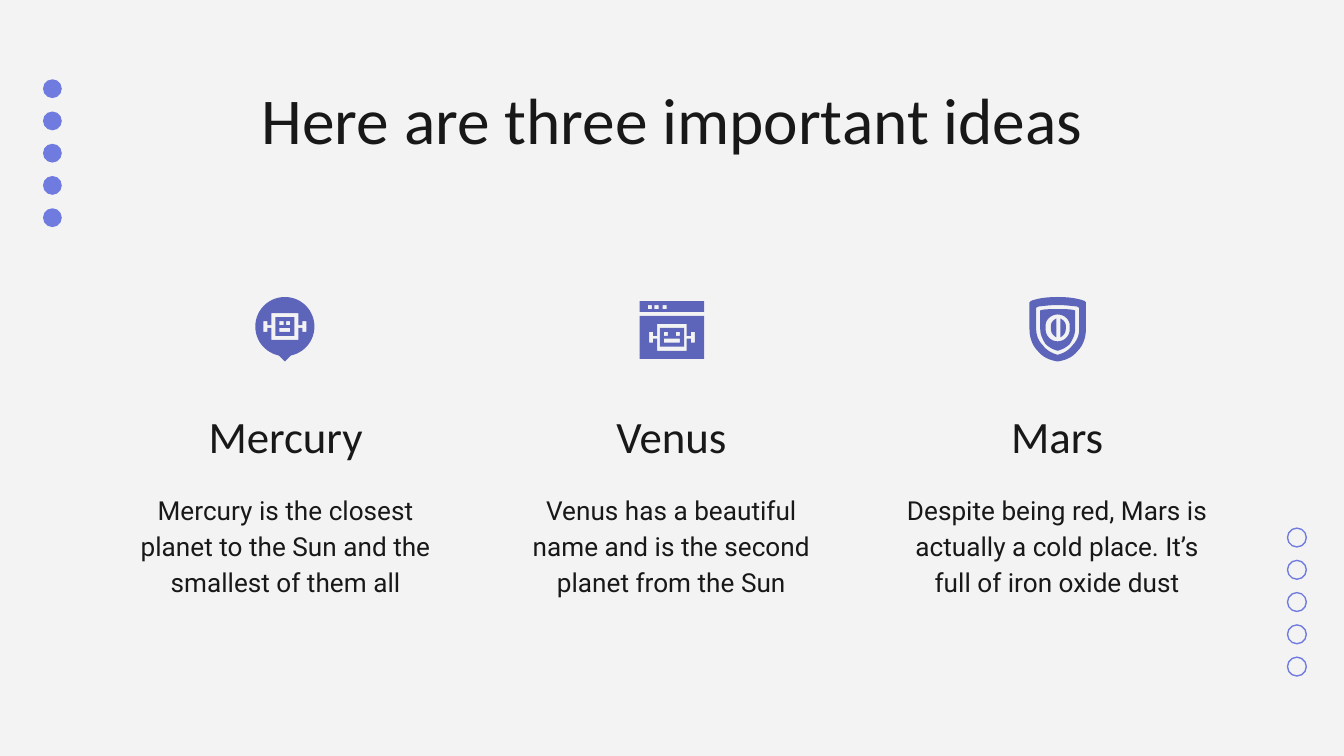
import math
from dataclasses import dataclass

import pptx
import pptx.dml.color
import pptx.enum.shapes
import pptx.enum.text
import pptx.util

SCALE = 9144  # EMU per px, 100 px to the inch

Point = tuple[float, float]
Loop = list[Point]


@dataclass(frozen=True)
class Theme:
    back: str = "F3F3F3"
    ink: str = "181818"
    dot: str = "707BE0"
    icon: str = "5D65BB"
    head_font: str = "Calibri"
    body_font: str = "Roboto"
    title: int = 35
    head: int = 24
    body: int = 14


@dataclass(frozen=True)
class Idea:
    left: int
    name: str
    text: str


@dataclass(frozen=True)
class Robot:
    x: int
    y: int
    head: int  # half width of the head
    face: int  # half width of the face


THEME = Theme()
IDEAS = [
    Idea(90, "Mercury", "Mercury is the closest planet to the Sun and the smallest of them all"),
    Idea(377, "Venus", "Venus has a beautiful name and is the second planet from the Sun"),
    Idea(664, "Mars", "Despite being red, Mars is actually a cold place. It’s full of iron oxide dust"),
]


def px(num: float) -> int:
    return pptx.util.Emu(round(num * SCALE))


def tint(code: str) -> pptx.dml.color.RGBColor:
    return pptx.dml.color.RGBColor.from_string(code)


# Text
def write(shape, text: str, font: str, size: int, space: float = 1.0, low: bool = False) -> None:
    anchor = pptx.enum.text.MSO_ANCHOR
    frame = shape.text_frame
    frame.text = text
    frame.word_wrap = True
    frame.auto_size = pptx.enum.text.MSO_AUTO_SIZE.NONE
    frame.vertical_anchor = anchor.BOTTOM if low else anchor.TOP
    frame.margin_left = frame.margin_right = px(10)
    frame.margin_top = frame.margin_bottom = px(10)
    para = frame.paragraphs[0]
    para.alignment = pptx.enum.text.PP_ALIGN.CENTER
    para.line_spacing = space
    face = para.runs[0].font
    face.name, face.size = font, pptx.util.Pt(size)
    face.color.rgb = tint(THEME.ink)


def add_idea(slide, idea: Idea) -> None:
    boxes = slide.shapes
    head = boxes.add_textbox(px(idea.left), px(282), px(245), px(72))
    write(head, idea.name, THEME.head_font, THEME.head, 1.15, low=True)
    body = boxes.add_textbox(px(idea.left), px(354), px(245), px(111))
    write(body, idea.text, THEME.body_font, THEME.body, 1.15)


# Dots
def add_dots(slide, left: int, top: int, solid: bool) -> None:
    for row in range(5):
        dot = slide.shapes.add_shape(
            pptx.enum.shapes.MSO_SHAPE.OVAL, px(left), px(top + 24 * row), px(14), px(14))
        dot.shadow.inherit = False
        if solid:
            dot.fill.solid()
            dot.fill.fore_color.rgb = tint(THEME.dot)
            dot.line.fill.background()
        else:
            dot.fill.background()
            dot.line.color.rgb = tint(THEME.dot)
            dot.line.width = pptx.util.Pt(0.75)


# Outlines: inner loops cut holes in the first one
def add_form(slide, *loops: Loop) -> None:
    build = None
    for loop in loops:
        pts = [(px(x), px(y)) for x, y in loop]
        if build is None:
            build = slide.shapes.build_freeform(*pts[0], scale=1.0)
        else:
            build.move_to(*pts[0])
        build.add_line_segments(pts[1:], close=True)
    form = build.convert_to_shape()
    form.shadow.inherit = False
    form.fill.solid()
    form.fill.fore_color.rgb = tint(THEME.icon)
    form.line.fill.background()


def rect(left: int, top: int, right: int, base: int) -> Loop:
    return [(left, top), (right, top), (right, base), (left, base)]


def trace(*parts: tuple[int, ...]) -> Loop:
    """Follow points (x, y) and cubic curves (six numbers)."""
    loop: Loop = []
    for part in parts:
        if len(part) == 2:
            loop.append(part)
            continue
        ctrl = [loop[-1], part[:2], part[2:4], part[4:]]
        for step in range(1, 9):
            t = step / 8
            mix = [(1 - t) ** 3, 3 * t * (1 - t) ** 2, 3 * t * t * (1 - t), t ** 3]
            loop.append(tuple(sum(m * c[axis] for m, c in zip(mix, ctrl)) for axis in (0, 1)))
    return loop


def flip(loop: Loop, total: int) -> Loop:
    return [(total - x, y) for x, y in reversed(loop)]


# Icons
def shell(bot: Robot) -> Loop:
    """Head with an arm on each side."""
    w = bot.head
    half = [(w, -10), (w, -1), (w + 3, -1), (w + 3, -4), (w + 6, -4),
            (w + 6, 4), (w + 3, 4), (w + 3, 1), (w, 1), (w, 10)]
    return [(bot.x + x, bot.y + y) for x, y in half + flip(half, 0)]


def add_face(slide, bot: Robot) -> None:
    far, near = bot.face - 3, bot.face - 6
    areas = [(-bot.face, -7, bot.face, 7), (-far, -4, -near, -1),
             (near, -4, far, -1), (-far, 1, far, 4)]
    add_form(slide, *[rect(bot.x + a, bot.y + b, bot.x + c, bot.y + d) for a, b, c, d in areas])


def add_bubble(slide) -> None:
    bot = Robot(212, 243, 10, 7)
    turns = [math.radians(deg) for deg in range(102, 439, 6)]
    ring = [(bot.x + 22 * math.cos(a), bot.y + 22 * math.sin(a)) for a in turns]
    add_form(slide, ring + [(bot.x, 269)], shell(bot))
    add_face(slide, bot)


def add_window(slide) -> None:
    bot = Robot(500, 251, 11, 9)
    add_form(slide, rect(476, 224, 524, 232), *[rect(x, 227, x + 3, 230) for x in (482, 487, 493)])
    add_form(slide, rect(476, 235, 524, 267), shell(bot))
    add_face(slide, bot)


def add_shield(slide) -> None:
    rim = trace((787, 221), (801, 221, 807, 224, 807, 224), (808, 225), (808, 245),
                (808, 251, 806, 257, 802, 261), (798, 266, 793, 268, 787, 269))
    gap = trace((787, 227), (794, 227, 799, 228, 801, 228), (803, 229), (803, 245),
                (803, 250, 801, 254, 798, 257), (795, 261, 791, 263, 787, 264))
    core = trace((787, 230), (793, 230, 797, 230, 800, 231), (800, 245),
                 (800, 249, 798, 253, 796, 256), (794, 258, 791, 260, 787, 261))
    hole = trace((787, 234), (792, 234, 796, 238, 796, 242), (796, 245),
                 (796, 250, 792, 254, 787, 254))
    for pair in ((rim, gap), (core, hole)):
        add_form(slide, *[half + flip(half, 1574) for half in pair])
    disc = trace((789, 237), (789, 251), (791, 250, 793, 248, 793, 245),
                 (793, 242), (793, 240, 791, 238, 789, 237))
    add_form(slide, disc)
    add_form(slide, flip(disc, 1575))


def main() -> None:
    deck = pptx.Presentation()
    deck.slide_width = px(1000)
    deck.slide_height = deck.slide_width * 9 // 16
    slide = deck.slides.add_slide(deck.slide_layouts[5])
    slide.background.fill.solid()
    slide.background.fill.fore_color.rgb = tint(THEME.back)

    add_dots(slide, 958, 393, solid=False)
    add_dots(slide, 32, 59, solid=True)

    title = slide.shapes.title
    title.left, title.top, title.width, title.height = px(79), px(49), px(843), px(63)
    write(title, "Here are three important ideas", THEME.head_font, THEME.title)

    for idea in IDEAS:
        add_idea(slide, idea)
    add_shield(slide)
    add_window(slide)
    add_bubble(slide)
    deck.save("out.pptx")


if __name__ == "__main__":
    main()
